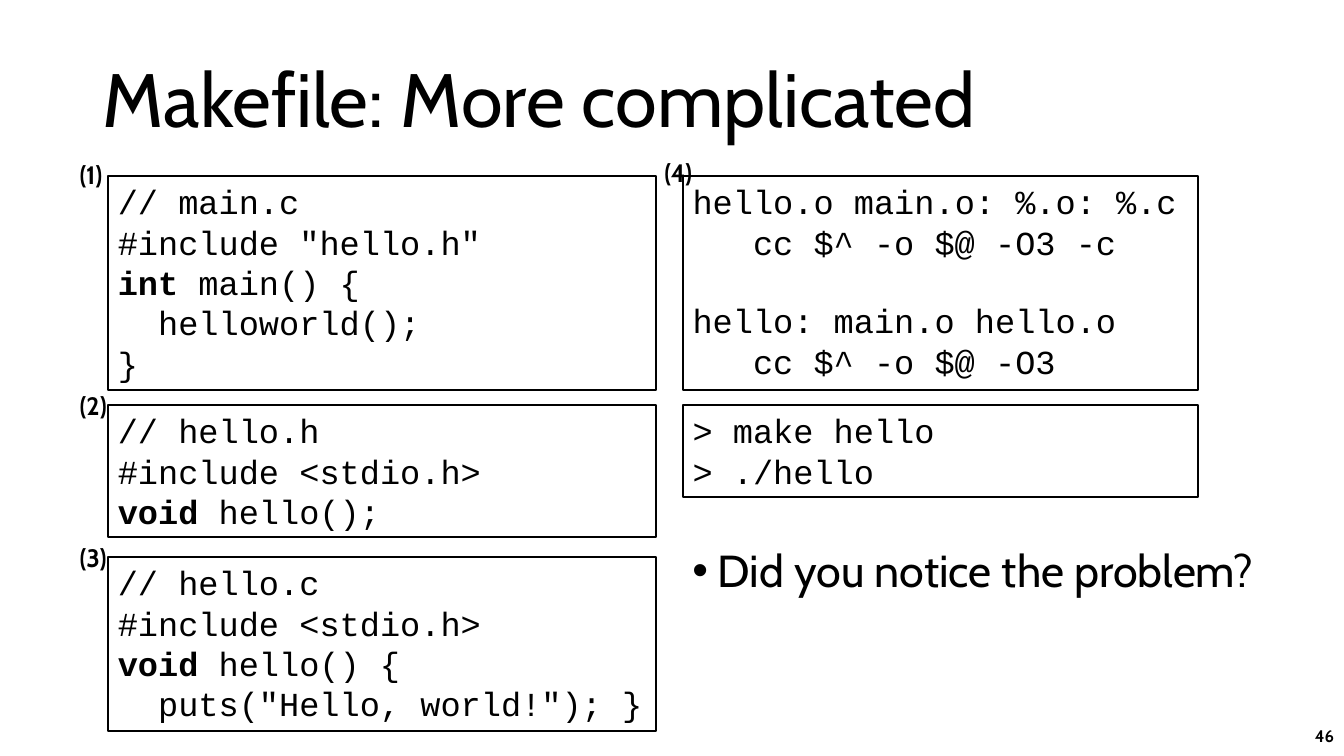
from dataclasses import dataclass

from lxml.etree import SubElement
from pptx import Presentation
from pptx.dml.color import RGBColor
from pptx.enum.shapes import MSO_SHAPE as Shape
from pptx.enum.text import MSO_ANCHOR as Anchor, MSO_AUTO_SIZE as AutoSize, PP_ALIGN as Align
from pptx.oxml.ns import qn
from pptx.util import Inches, Pt

COLORS = {"ink": "000000", "paper": "FFFFFF"}
TEXT_FONT, CODE_FONT = "Cabin", "Courier New"
CODE_SIZE = 24
CHAR_WIDTH = 0.2
BLANK_LINE = 27.2
LEFT, RIGHT = 1.07, 6.77
LEFT_WIDTH, RIGHT_WIDTH = 5.44, 5.11
TOP_ROW, SECOND_ROW, THIRD_ROW = 1.75, 4.02, 5.53


@dataclass(frozen=True)
class CodeLine:
    text: str
    keyword: str = ""
    indent: int = 0
    gap_before: float = 0


@dataclass(frozen=True)
class CodeBox:
    left: float
    top: float
    width: float
    height: float
    lines: tuple[CodeLine, ...]


@dataclass(frozen=True)
class Label:
    text: str
    left: float
    top: float


CODE_BOXES = (
    CodeBox(LEFT, TOP_ROW, LEFT_WIDTH, 2.12, (
        CodeLine("// main.c"),
        CodeLine('#include "hello.h"'),
        CodeLine("main() {", keyword="int "),
        CodeLine("helloworld();", indent=2),
        CodeLine("}"),
    )),
    CodeBox(LEFT, SECOND_ROW, LEFT_WIDTH, 1.31, (
        CodeLine("// hello.h"),
        CodeLine("#include <stdio.h>"),
        CodeLine("hello();", keyword="void "),
    )),
    CodeBox(LEFT, THIRD_ROW, LEFT_WIDTH, 1.72, (
        CodeLine("// hello.c"),
        CodeLine("#include <stdio.h>"),
        CodeLine("hello() {", keyword="void "),
        CodeLine('puts("Hello, world!"); }', indent=2),
    )),
    CodeBox(RIGHT, TOP_ROW, RIGHT_WIDTH, 2.12, (
        CodeLine("hello.o main.o: %.o: %.c"),
        CodeLine("cc $^ -o $@ -O3 -c", indent=3),
        CodeLine("hello: main.o hello.o", gap_before=BLANK_LINE),
        CodeLine("cc $^ -o $@ -O3", indent=3),
    )),
    CodeBox(RIGHT, SECOND_ROW, RIGHT_WIDTH, 0.91, (
        CodeLine("> make hello"),
        CodeLine("> ./hello"),
    )),
)

LABELS = (
    Label("(1)", 0.69, 1.53),
    Label("(2)", 0.69, 3.82),
    Label("(3)", 0.69, 5.33),
    Label("(4)", 6.49, 1.51),
)


def color(name: str) -> RGBColor:
    return RGBColor.from_string(COLORS[name])


def write(paragraph, text: str, *, size: float, font: str = TEXT_FONT,
          bold: bool = False, align=Align.LEFT) -> None:
    paragraph.alignment = align
    run = paragraph.add_run()
    run.text = text
    run.font.size = Pt(size)
    run.font.name = font
    run.font.bold = bold
    run.font.color.rgb = color("ink")


def set_indent(paragraph, margin: float, first_line: float = 0) -> None:
    properties = paragraph._p.get_or_add_pPr()
    properties.set("marL", str(Inches(margin)))
    properties.set("indent", str(Inches(first_line)))


def add_frame(slide, left: float, top: float, width: float, height: float, *,
              wrap: bool = True, anchor=Anchor.TOP):
    frame = slide.shapes.add_textbox(
        Inches(left), Inches(top), Inches(width), Inches(height)).text_frame
    frame.word_wrap = wrap
    frame.vertical_anchor = anchor
    return frame


def add_title(slide, text: str) -> None:
    title = slide.shapes.title
    title.left, title.top = Inches(0.92), Inches(0.3)
    title.width, title.height = Inches(11.5), Inches(1.45)
    frame = title.text_frame
    frame.auto_size = AutoSize.NONE
    frame.vertical_anchor = Anchor.MIDDLE
    frame.paragraphs[0].line_spacing = 0.9
    write(frame.paragraphs[0], text, size=54)


def add_question(slide, text: str) -> None:
    question = add_frame(slide, RIGHT, 5.39, 6.27, 0.91).paragraphs[0]
    question.line_spacing = 0.9
    question.space_before = Pt(10)
    write(question, text, size=32)
    set_indent(question, 0.25, -0.25)
    properties = question._p.get_or_add_pPr()
    SubElement(properties, qn("a:buFont")).set("typeface", "Arial")
    SubElement(properties, qn("a:buChar")).set("char", "•")


def add_code_box(slide, box: CodeBox) -> None:
    panel = slide.shapes.add_shape(
        Shape.RECTANGLE, Inches(box.left), Inches(box.top),
        Inches(box.width), Inches(box.height))
    panel.shadow.inherit = False
    panel.fill.solid()
    panel.fill.fore_color.rgb = color("paper")
    panel.line.color.rgb = color("ink")
    panel.line.width = Pt(1.5)
    frame = panel.text_frame
    frame.word_wrap = True
    frame.vertical_anchor = Anchor.TOP
    for index, line in enumerate(box.lines):
        paragraph = frame.add_paragraph() if index else frame.paragraphs[0]
        paragraph.space_before = Pt(line.gap_before)
        set_indent(paragraph, line.indent * CHAR_WIDTH)
        if line.keyword:
            write(paragraph, line.keyword, size=CODE_SIZE, font=CODE_FONT, bold=True)
        write(paragraph, line.text, size=CODE_SIZE, font=CODE_FONT)


def add_label(slide, label: Label) -> None:
    frame = add_frame(slide, label.left, label.top, 0.48, 0.4, wrap=False)
    write(frame.paragraphs[0], label.text, size=18, bold=True)


def main() -> None:
    deck = Presentation()
    deck.slide_width, deck.slide_height = Inches(13.33), Inches(7.5)
    slide = deck.slides.add_slide(deck.slide_layouts[5])
    slide.background.fill.solid()
    slide.background.fill.fore_color.rgb = color("paper")

    add_title(slide, "Makefile: More complicated")
    add_question(slide, "Did you notice the problem?")
    page_number = add_frame(slide, 10.33, 7.1, 3, 0.4, anchor=Anchor.MIDDLE)
    write(page_number.paragraphs[0], "46", size=12, bold=True, align=Align.RIGHT)
    for box in CODE_BOXES:
        add_code_box(slide, box)
    for label in LABELS:
        add_label(slide, label)

    deck.save("out.pptx")


if __name__ == "__main__":
    main()
